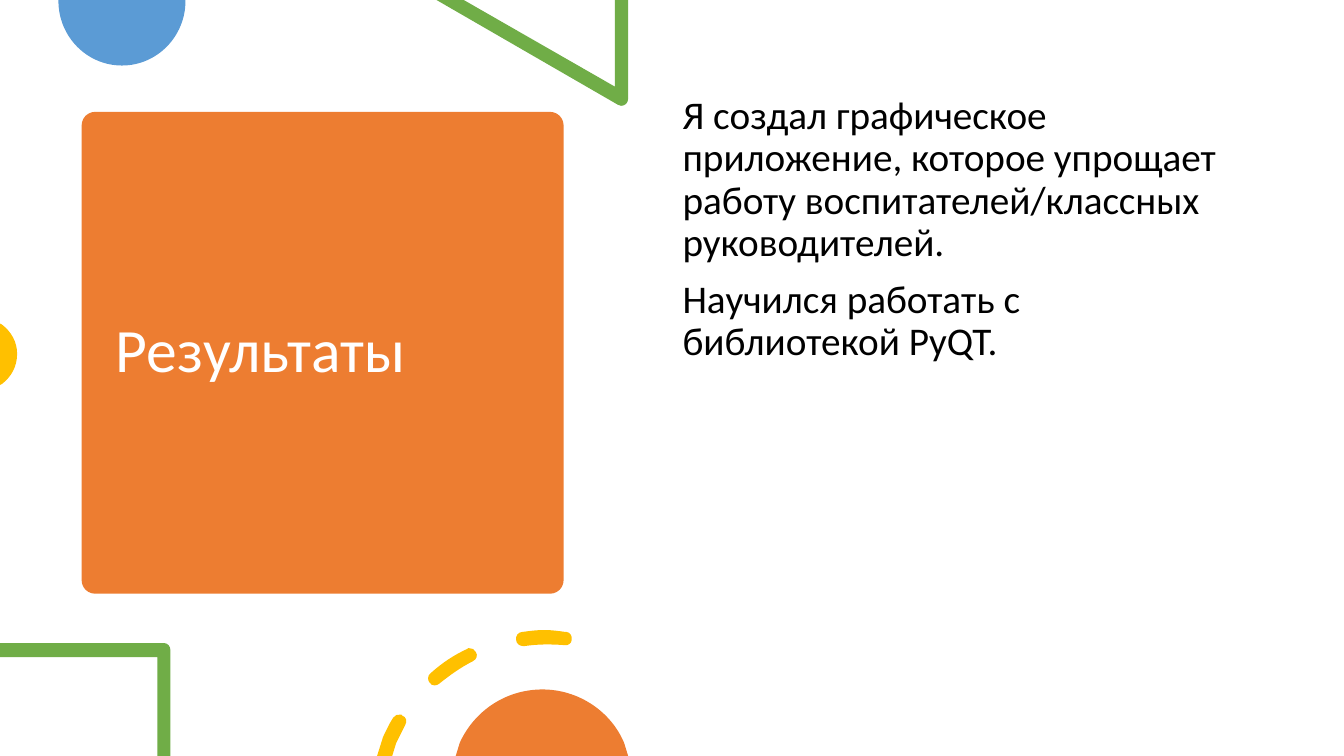
from lxml import etree
from pptx import Presentation
from pptx.dml.color import RGBColor
from pptx.enum.shapes import MSO_SHAPE
from pptx.enum.text import MSO_ANCHOR, MSO_AUTO_SIZE, PP_ALIGN
from pptx.oxml.ns import qn
from pptx.util import Inches, Pt

ROUNDED = MSO_SHAPE.ROUNDED_RECTANGLE
MIDDLE, TOP = MSO_ANCHOR.MIDDLE, MSO_ANCHOR.TOP
NO_AUTOFIT = MSO_AUTO_SIZE.NONE
LEFT = PP_ALIGN.LEFT

ORANGE = RGBColor(0xED, 0x7D, 0x31)
BLUE = RGBColor(0x5B, 0x9B, 0xD5)
GREEN = RGBColor(0x70, 0xAD, 0x47)
YELLOW = RGBColor(0xFF, 0xC0, 0x00)
WHITE = RGBColor(0xFF, 0xFF, 0xFF)
BLACK = RGBColor(0x00, 0x00, 0x00)


def paint(shape, color):
    shape.fill.solid()
    shape.fill.fore_color.rgb = color
    shape.line.fill.background()
    shape.shadow.inherit = False


def draw_outlines(shapes, outlines):
    builder = shapes.build_freeform(*map(Inches, outlines[0][0]))
    for outline in outlines:
        if outline is not outlines[0]:
            builder.move_to(*map(Inches, outline[0]))
        points = [(Inches(step[i]), Inches(step[i + 1]))
                  for step in outline[1:] for i in range(0, len(step), 2)]
        builder.add_line_segments(points, close=True)
    shape = builder.convert_to_shape()
    segments = iter(list(shape._element.iter(qn("a:lnTo"))))
    for step in (step for outline in outlines for step in outline[1:]):
        segment = next(segments)
        if len(step) == 6:
            segment.tag = qn("a:cubicBezTo")
            for control in (next(segments), next(segments)):
                segment.append(control[0])
                control.getparent().remove(control)
    return shape


prs = Presentation()
prs.slide_width, prs.slide_height = Inches(13.33), Inches(7.5)
slide = prs.slides.add_slide(prs.slide_layouts[1])
title, results = slide.placeholders

title_card = slide.shapes.add_shape(ROUNDED, Inches(0.81), Inches(1.11), Inches(4.78), Inches(4.78))
title_card.adjustments[0] = 0.028
paint(title_card, ORANGE)
title._element.addprevious(title_card._element)

texts = [
    (title, (1.05, 1.22, 4.31, 4.56), MIDDLE, 44, WHITE, 0, ["Результаты"]),
    (results, (6.67, 0.9, 5.75, 5.35), TOP, 28, BLACK, 10, [
        "Я создал графическое приложение, которое упрощает работу "
        "воспитателей/классных руководителей.",
        "Научился работать с библиотекой PyQT.",
    ]),
]
for holder, box, anchor, size, color, space, lines in texts:
    holder.left, holder.top, holder.width, holder.height = map(Inches, box)
    frame = holder.text_frame
    frame.text = "\n".join(lines)
    frame.word_wrap = True
    frame.auto_size = NO_AUTOFIT
    frame.vertical_anchor = anchor
    for paragraph in frame.paragraphs:
        paragraph.alignment = LEFT
        paragraph.line_spacing = 0.9
        paragraph.space_before = Pt(space)
        paragraph.font.name = "Calibri"
        paragraph.font.size = Pt(size)
        paragraph.font.color.rgb = color

for paragraph in results.text_frame.paragraphs:
    properties = paragraph._p.get_or_add_pPr()
    properties.set("marL", "0")
    properties.set("indent", "0")
    etree.SubElement(properties, qn("a:buNone"))

blue_circle = [(1.84, 0), (0.58, 0), (0.58, 0.01), (0.58, 0.36, 0.86, 0.65, 1.21, 0.65),
               (1.56, 0.65, 1.84, 0.36, 1.84, 0.01)]
green_triangle = [(6.23, 0), (6.1, 0), (6.1, 0.86), (4.6, 0), (4.33, 0), (6.13, 1.04),
                  (6.14, 1.05, 6.15, 1.05, 6.16, 1.05), (6.2, 1.05, 6.23, 1.02, 6.23, 0.98)]
yellow_circle = [(0, 3.21), (0, 3.82), (0.02, 3.81), (0.11, 3.74, 0.17, 3.64, 0.17, 3.51),
                 (0.17, 3.39, 0.11, 3.29, 0.02, 3.22)]
green_corner = [(1.63, 6.38), (0, 6.38), (0, 6.52), (1.56, 6.52), (1.56, 7.5), (1.69, 7.5),
                (1.69, 6.45), (1.69, 6.41, 1.66, 6.38, 1.63, 6.38)]
low_dash = [(3.97, 7.09), (3.94, 7.08, 3.92, 7.1, 3.9, 7.12), (3.86, 7.18, 3.83, 7.25, 3.8, 7.31),
            (3.74, 7.5), (3.89, 7.5), (3.93, 7.37), (3.96, 7.31, 3.99, 7.25, 4.02, 7.19),
            (4.04, 7.16, 4.03, 7.11, 3.99, 7.1), (3.99, 7.09, 3.98, 7.09, 3.97, 7.09)]
middle_dash = [(4.65, 6.43), (4.65, 6.43, 4.64, 6.43, 4.63, 6.44), (4.5, 6.5, 4.38, 6.58, 4.27, 6.68),
               (4.24, 6.7, 4.24, 6.75, 4.26, 6.77), (4.27, 6.79, 4.29, 6.8, 4.31, 6.8), (4.31, 6.8),
               (4.33, 6.8, 4.35, 6.79, 4.36, 6.78), (4.46, 6.7, 4.57, 6.62, 4.69, 6.56),
               (4.73, 6.54, 4.74, 6.5, 4.72, 6.47), (4.71, 6.44, 4.68, 6.43, 4.65, 6.43)]
top_dash = [(5.4, 6.25), (5.32, 6.25, 5.25, 6.26, 5.18, 6.27), (5.14, 6.27, 5.11, 6.31, 5.12, 6.35),
            (5.12, 6.38, 5.15, 6.41, 5.19, 6.41), (5.19, 6.41, 5.19, 6.41, 5.2, 6.41),
            (5.33, 6.39, 5.46, 6.39, 5.6, 6.4), (5.63, 6.41, 5.67, 6.38, 5.67, 6.35),
            (5.68, 6.31, 5.65, 6.27, 5.62, 6.27), (5.62, 6.27, 5.61, 6.27, 5.61, 6.27),
            (5.54, 6.26, 5.47, 6.25, 5.4, 6.25)]
orange_circle = [(5.38, 6.84), (5.01, 6.84, 4.7, 7.06, 4.56, 7.37), (4.52, 7.5), (6.23, 7.5),
                 (6.19, 7.37), (6.06, 7.06, 5.74, 6.84, 5.38, 6.84)]

upper_decorations = [
    (BLUE, [blue_circle]),
    (GREEN, [green_triangle]),
    (YELLOW, [yellow_circle]),
]
lower_decorations = [
    (GREEN, [green_corner]),
    (YELLOW, [low_dash, middle_dash, top_dash]),
    (ORANGE, [orange_circle]),
]
for color, outlines in upper_decorations + lower_decorations:
    decoration = draw_outlines(slide.shapes, outlines)
    paint(decoration, color)
    if (color, outlines) in upper_decorations:
        results._element.addprevious(decoration._element)

prs.save("out.pptx")
